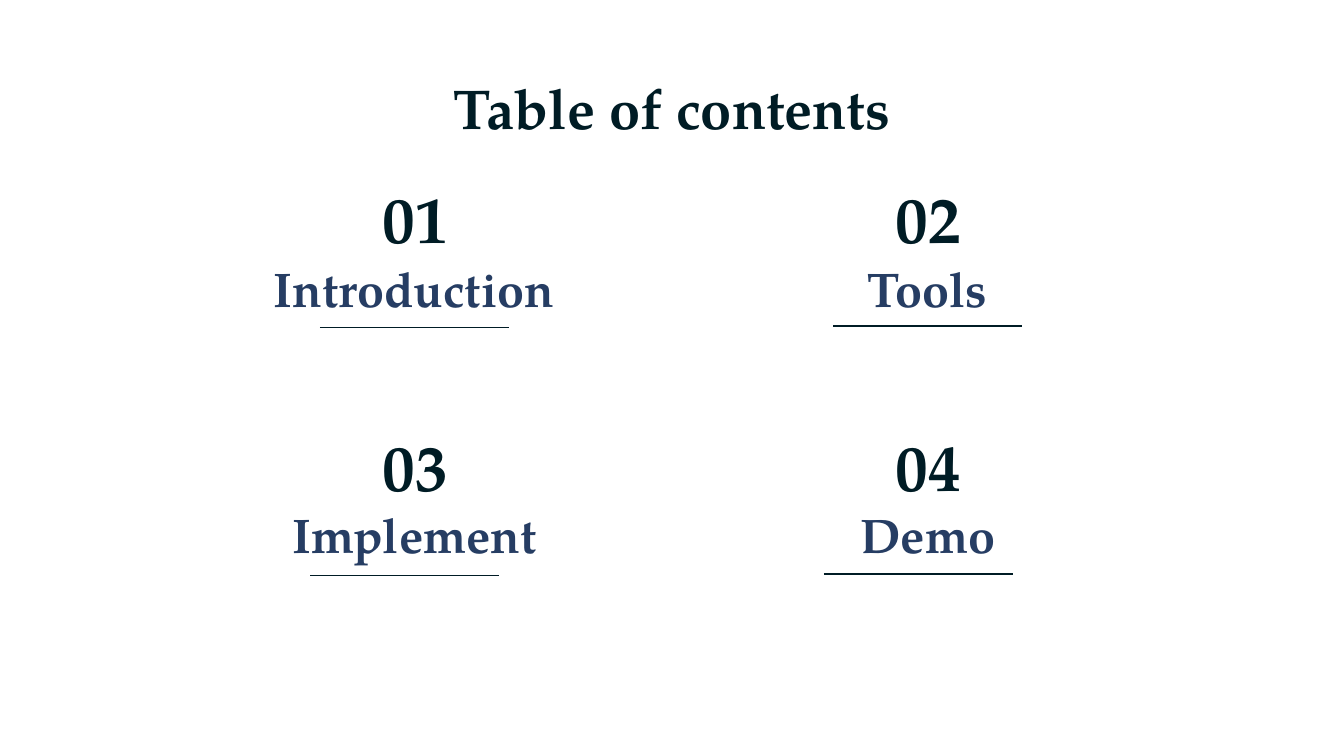
from pptx import Presentation
from pptx.dml.color import RGBColor
from pptx.enum.shapes import MSO_CONNECTOR
from pptx.enum.text import MSO_ANCHOR, PP_ALIGN
from pptx.oxml.ns import qn
from pptx.util import Pt
from lxml.etree import SubElement

PX = 4572  # EMU per px, 200 px to the inch
COLORS = {"ink": "001C25", "navy": "263D63"}
FONT = "TeX Gyre Pagella"
FORMATS = {
    "title": {"size": Pt(30), "color": "ink"},
    "number": {"size": Pt(35), "color": "ink"},
    "name": {"size": Pt(26), "color": "navy"},
}
FRAME = {
    "word_wrap": True,
    "vertical_anchor": MSO_ANCHOR.MIDDLE,
    **{f"margin_{side}": 20 * PX for side in ("left", "right", "top", "bottom")},
}

# Offsets inside an entry differ slightly between the two rows.
ROWS = [
    {"top": 274, "name_dx": 0, "name_dy": 97, "rule_dx": 174, "rule_dy": 213},
    {"top": 643, "name_dx": 1, "name_dy": 94, "rule_dx": 160, "rule_dy": 213},
]
COLUMNS = [{"left": 302, "rule_lift": 0}, {"left": 1066, "rule_lift": 2}]
ENTRY_WIDTH = 628
NUMBER_DX = 229
NUMBER_WIDTH = 174
RULE_LENGTH = 281
SECTIONS = ["Introduction", "Tools", "Implement", "Demo"]


def rgb(color):
    return RGBColor.from_string(COLORS[color])


def add_label(slide, wording, role, left, top, width, height):
    label = slide.shapes.add_textbox(left * PX, top * PX, width * PX, height * PX)
    frame = label.text_frame
    for attribute, value in FRAME.items():
        setattr(frame, attribute, value)
    paragraph = frame.paragraphs[0]
    paragraph.alignment = PP_ALIGN.CENTER
    run = paragraph.add_run()
    run.text = wording
    look = FORMATS[role]
    for attribute, value in {"name": FONT, "size": look["size"], "bold": True}.items():
        setattr(run.font, attribute, value)
    run.font.color.rgb = rgb(look["color"])


def add_rule(slide, left, top, length):
    rule = slide.shapes.add_connector(
        MSO_CONNECTOR.STRAIGHT, left * PX, top * PX, (left + length) * PX, top * PX)
    rule.line.color.rgb = rgb("ink")
    rule.line.width = Pt(0.75)
    SubElement(rule._element.spPr, qn("a:effectLst"))


def add_entry(slide, number, name, row, column):
    """Number above the section name, with a rule underneath."""
    left, top = column["left"], row["top"]
    add_label(slide, f"{number:02d}", "number", left + NUMBER_DX, top, NUMBER_WIDTH, 98)
    add_label(slide, name, "name", left + row["name_dx"], top + row["name_dy"],
              ENTRY_WIDTH, 116)
    add_rule(slide, left + row["rule_dx"],
             top + row["rule_dy"] - column["rule_lift"], RULE_LENGTH)


def add_contents(slide):
    add_label(slide, "Table of contents", "title", 157, 97, 1686, 126)
    for index, name in enumerate(SECTIONS):
        row, column = divmod(index, len(COLUMNS))
        add_entry(slide, index + 1, name, ROWS[row], COLUMNS[column])


def main():
    deck = Presentation()
    deck.slide_width, deck.slide_height = 2000 * PX, 1125 * PX
    add_contents(deck.slides.add_slide(deck.slide_layouts[6]))
    deck.save("out.pptx")


if __name__ == "__main__":
    main()
